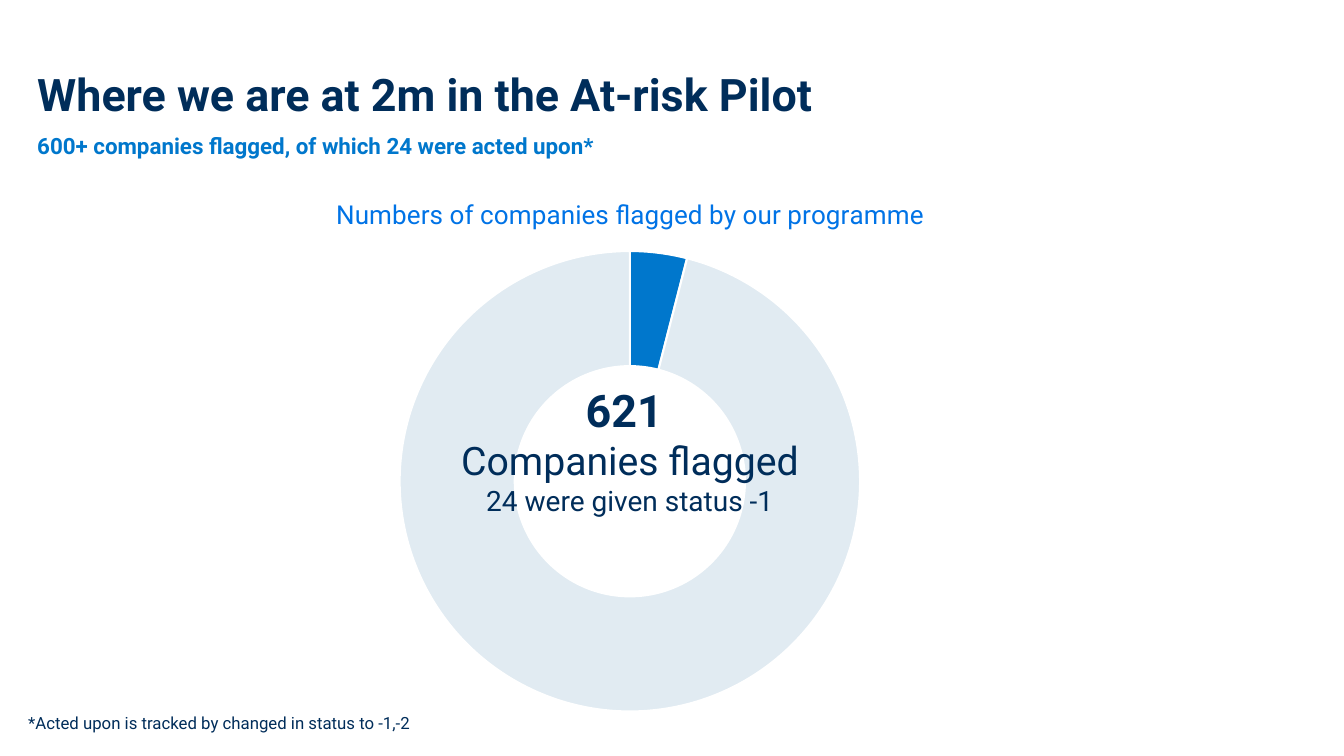
import pptx
import pptx.chart.data
import pptx.dml.color
import pptx.enum.chart
import pptx.enum.text
import pptx.util
from lxml import etree

Pt = pptx.util.Pt
RGB = pptx.dml.color.RGBColor.from_string
ALIGN = pptx.enum.text.PP_ALIGN
FONT = "Roboto"
COLORS = {"navy": "002D5A", "blue": "0077CC", "title": "0073E6",
          "pale": "E1EBF2", "white": "FFFFFF"}


def style(font, size, color, bold=False):
    font.name, font.size, font.bold = FONT, Pt(size), bold
    font.color.rgb = RGB(COLORS[color])


def fill_text(sp, box, lines, align=ALIGN.LEFT, inset=None):
    sp.left, sp.top, sp.width, sp.height = [Pt(v) for v in box]
    tf = sp.text_frame
    tf.word_wrap = True
    tf.auto_size = pptx.enum.text.MSO_AUTO_SIZE.NONE
    tf.vertical_anchor = pptx.enum.text.MSO_ANCHOR.TOP
    if inset is not None:
        tf.margin_left = tf.margin_top = tf.margin_right = tf.margin_bottom = Pt(inset)
    for i, (text, size, color, bold) in enumerate(lines):
        p = tf.add_paragraph() if i else tf.paragraphs[0]
        p.text, p.alignment = text, align
        style(p.font, size, color, bold)


prs = pptx.Presentation()
prs.slide_width, prs.slide_height = Pt(960), Pt(540)
s = prs.slides.add_slide(prs.slide_layouts[5])

# Title and subtitle
fill_text(s.shapes.title, (26.6, 51.8, 759.6, 39.6),
          [("Where we are at 2m in the At-risk Pilot", 32, "navy", True)], inset=0)
s.shapes.title.text_frame.paragraphs[0].line_spacing = 0.9
fill_text(s.shapes.add_textbox(0, 0, 0, 0), (26.6, 94.3, 759.6, 25.2),
          [("600+ companies flagged, of which 24 were acted upon*", 16, "blue", True)], inset=0)

# Doughnut chart
data = pptx.chart.data.CategoryChartData()
data.categories = ["1", "2"]
data.add_series("Series 1", (4, 96))
chart = s.shapes.add_chart(pptx.enum.chart.XL_CHART_TYPE.DOUGHNUT, Pt(145.4), Pt(121.7),
                           Pt(609.1), Pt(396.7), data).chart
style(chart.font, 10, "navy")
chart.has_legend = False
chart.has_title = True
p = chart.chart_title.text_frame.paragraphs[0]
p.text = "Numbers of companies flagged by our programme"
style(p.font, 18.6, "title")
plot = chart.plots[0]
plot.vary_by_categories = False
for i, color in enumerate(("blue", "pale")):
    fmt = plot.series[0].points[i].format
    fmt.fill.solid()
    fmt.fill.fore_color.rgb = RGB(COLORS[color])
    fmt.line.color.rgb = RGB(COLORS["white"])
    fmt.line.width = Pt(1.5)

# Hole size, and fixed places for the chart title and the ring
C = "{http://schemas.openxmlformats.org/drawingml/2006/chart}"
root = chart.element
root.find(f".//{C}holeSize").set("val", "86")
places = {
    "title": {"xMode": "edge", "yMode": "edge", "x": 0.15, "y": 0.04},
    "plotArea": {"layoutTarget": "inner", "xMode": "edge", "yMode": "edge",
                 "x": 0.23, "y": 0.14, "w": 0.54, "h": 0.84},
}
for part, values in places.items():
    area = root.find(f".//{C}{part}")
    layout = area.find(f"{C}layout")
    if layout is None:
        layout = etree.Element(f"{C}layout")
        area.insert(1 if part == "title" else 0, layout)
    manual = etree.SubElement(layout, f"{C}manualLayout")
    for name, value in values.items():
        etree.SubElement(manual, f"{C}{name}").set("val", str(value))

# Label in the ring
fill_text(s.shapes.add_textbox(0, 0, 0, 0), (321.8, 270, 256.3, 104.4),
          [("621 ", 32, "navy", True),
           ("Companies flagged", 28, "navy", False),
           ("24 were given status -1", 20, "navy", False)], ALIGN.CENTER)

# Footnote
fill_text(s.shapes.add_textbox(0, 0, 0, 0), (13, 505.4, 455, 21.6),
          [("*Acted upon is tracked by changed in status to -1,-2", 12, "navy", False)])

prs.save("out.pptx")
